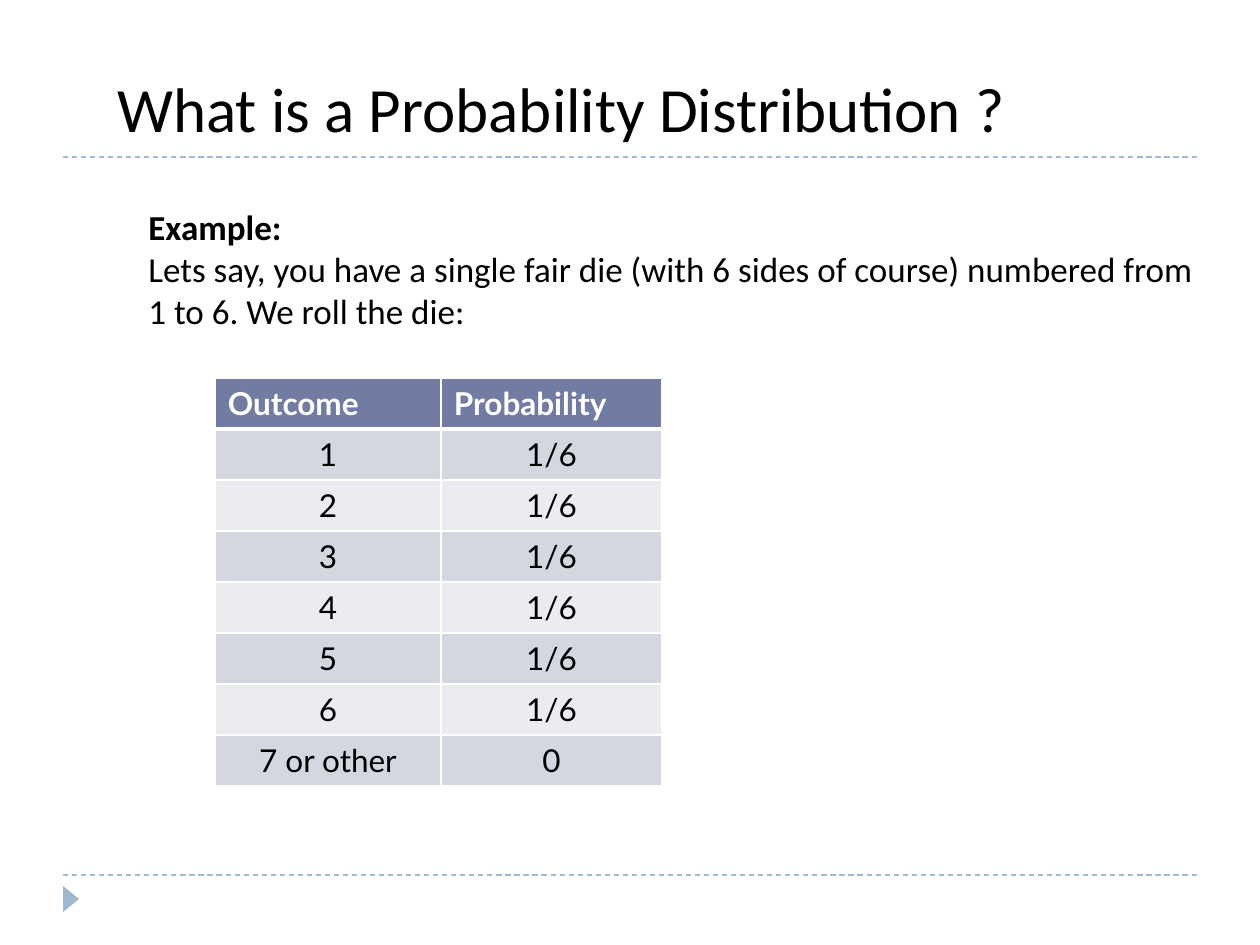
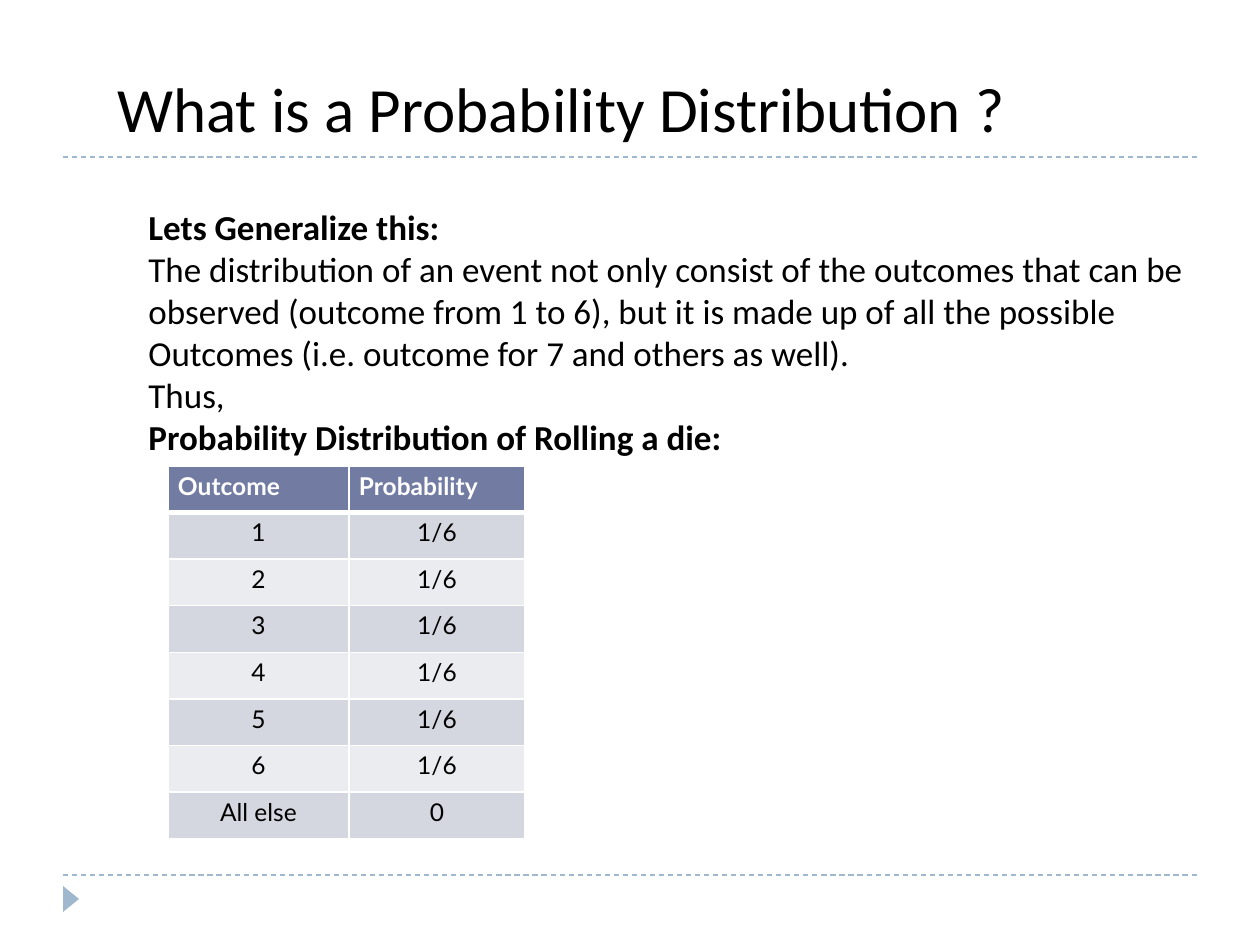
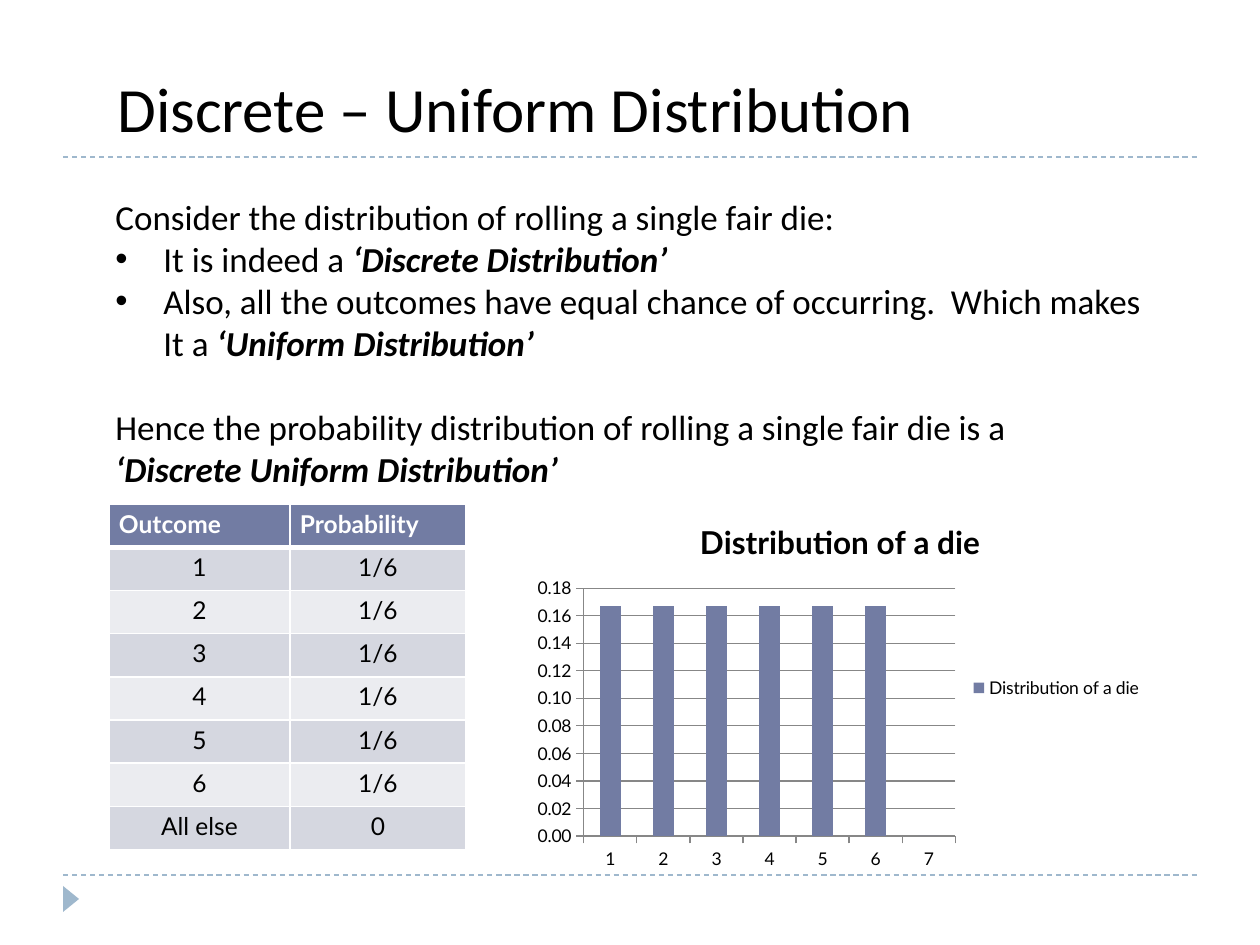
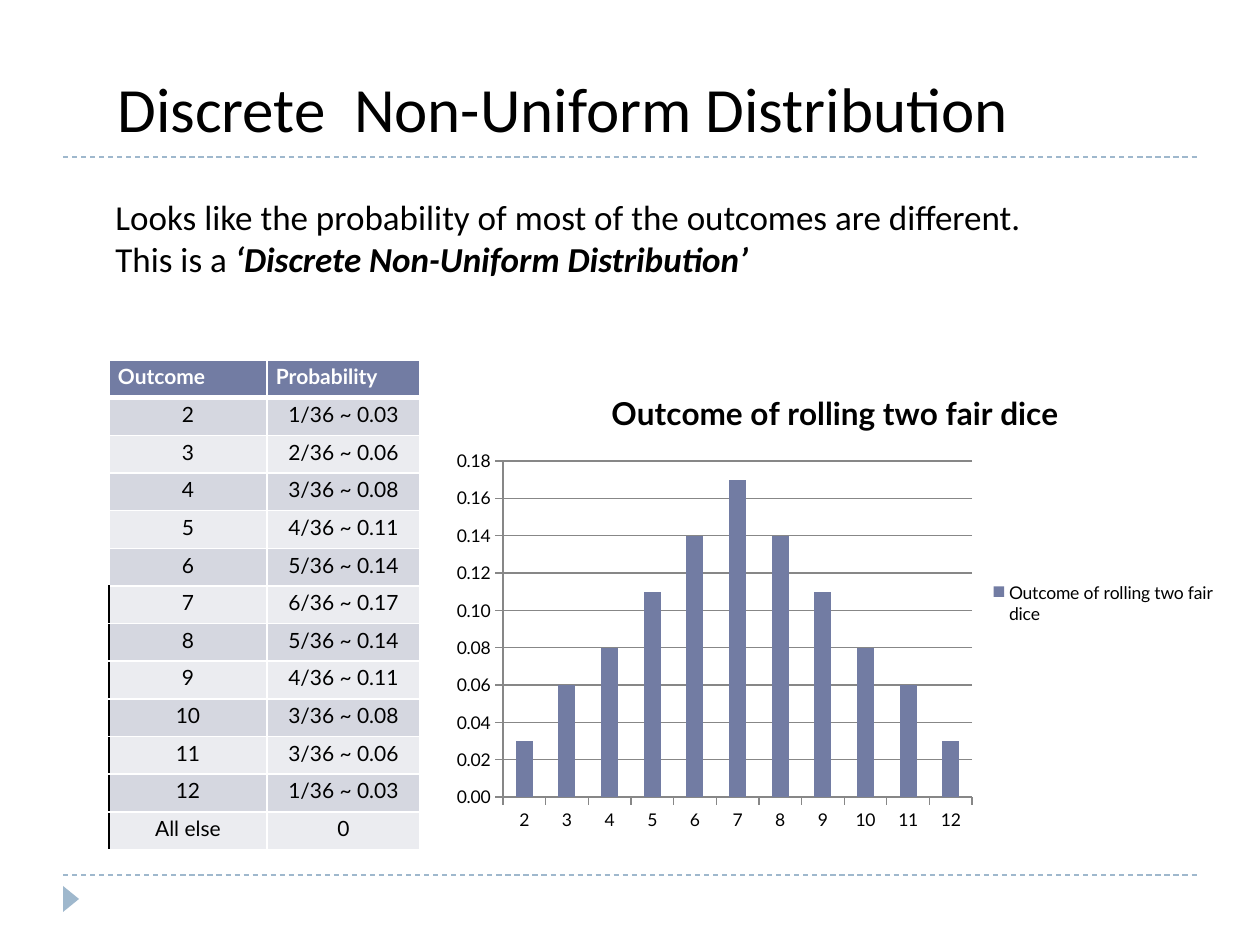
import pptx
import pptx.util
import pptx.dml.color
import pptx.enum.dml
import pptx.enum.shapes
import pptx.enum.text
import pptx.enum.chart
import pptx.chart.data
import pptx.oxml.ns
from lxml import etree

# Shared look
SCALE = 914400 / 126
WIDE, HIGH = 1260, 945
BODY, DATA = "Calibri", "Lato"
HUES = {"text": "000000", "white": "FFFFFF", "rule": "9FB8CD", "head": "727CA3",
        "odd": "D5D7E0", "even": "EBECF0", "grid": "878787"}
LEFT = pptx.enum.text.PP_ALIGN.LEFT
MID = pptx.enum.text.PP_ALIGN.CENTER

# Content: a paragraph is (kind, runs), a run is (text, style)
HEADS = ("Outcome", "Probability")
SIXTHS = [(str(n), "1/6") for n in range(1, 7)]
TWO = [0.03, 0.06, 0.08, 0.11, 0.14, 0.17, 0.14, 0.11, 0.08, 0.06, 0.03]
PARTS = [1, 2, 3, 4, 5, 6, 5, 4, 3, 3, 1]
SUMS = [(str(n), f"{part}/36 ~ {val:.2f}")
        for n, (part, val) in enumerate(zip(PARTS, TWO), 2)]

SLIDES = [
    {"title": ("What is a Probability Distribution ?", 921),
     "at": (136, 199, 1080, 140),
     "text": [
         ("", [("Example:", "b")]),
         ("", [("Lets say, you have a single fair die (with 6 sides of course) numbered from", "")]),
         ("", [("1 to 6. We roll the die:", "")])],
     "table": {"at": (215, 378, 408), "cols": (226, 221), "size": 18, "pad": (13, 6),
               "rows": SIXTHS + [("7 or other", "0")]}},
    {"title": ("What is a Probability Distribution ?", 921),
     "at": (136, 199, 1077, 267),
     "text": [
         ("", [("Lets Generalize this:", "b")]),
         ("", [("The distribution of an event not only consist of the outcomes that can be", "")]),
         ("", [("observed (outcome from 1 to 6), but it is made up of all the possible", "")]),
         ("", [("Outcomes (i.e. outcome for 7 and others as well).", "")]),
         ("", [("Thus,", "")]),
         ("", [("Probability Distribution of Rolling a die:", "b")])],
     "table": {"at": (168, 466, 373), "cols": (181, 176), "size": 14, "pad": (10, 5),
               "rows": SIXTHS + [("All else", "0")]}},
    {"title": ("Discrete – Uniform Distribution", 829),
     "at": (103, 189, 1052, 310),
     "text": [
         ("", [("Consider the distribution of rolling a single fair die:", "")]),
         ("dot", [("It is indeed a ", ""), ("‘Discrete Distribution’", "bi")]),
         ("dot", [("Also, all the outcomes have equal chance of occurring.  Which makes It a ", ""),
                  ("‘Uniform Distribution’", "bi")]),
         ("gap", [("Hence the probability distribution of rolling a single fair die is a", "")]),
         ("", [("‘Discrete Uniform Distribution’", "bi")])],
     "table": {"at": (109, 504, 346), "cols": (181, 176), "size": 14, "pad": (10, 5),
               "rows": SIXTHS + [("All else", "0")]},
     "chart": {"at": (525, 499, 630, 378), "title": "Distribution of a die",
               "cats": range(1, 8), "vals": [0.167] * 6 + [0]}},
    {"title": ("Discrete  Non-Uniform Distribution", 956),
     "at": (103, 189, 1052, 97),
     "text": [
         ("", [("Looks like the probability of most of the outcomes are different.", "")]),
         ("", [("This is a ", ""), ("‘Discrete Non-Uniform Distribution’", "bi")])],
     "table": {"at": (109, 360, 490), "cols": (158, 153), "size": 12, "pad": (9, 4),
               "rows": SUMS + [("All else", "0")], "dark": 6},
     "chart": {"at": (441, 368, 788, 472), "title": "Outcome of rolling two fair dice",
               "cats": range(2, 13), "vals": TWO}},
]


# Helpers
def px(num):
    return pptx.util.Emu(round(num * SCALE))


def box(at):
    return [px(num) for num in at]


def hue(name):
    return pptx.dml.color.RGBColor.from_string(HUES[name])


def ink(font, face, size, tone="text", style=""):
    font.name, font.size = face, pptx.util.Pt(size)
    font.color.rgb = hue(tone)
    font.bold, font.italic = "b" in style, "i" in style


def sub(node, tag, **atts):
    return etree.SubElement(node, pptx.oxml.ns.qn(tag), **atts)


def write(slide, at, paras, size):
    frame = slide.shapes.add_textbox(*box(at)).text_frame
    frame.word_wrap = True
    for num, (kind, runs) in enumerate(paras):
        para = frame.add_paragraph() if num else frame.paragraphs[0]
        for text, style in runs:
            run = para.add_run()
            run.text = text
            ink(run.font, BODY, size, style=style)
        if kind == "gap":
            para.space_before = pptx.util.Pt(24)
        if kind == "dot":
            props = para._p.get_or_add_pPr()
            props.set("marL", str(px(48)))
            props.set("indent", str(-px(48)))
            sub(props, "a:buFont", typeface="Arial")
            sub(props, "a:buChar", char="•")


def frame(slide):
    # Dashed rules and the corner marker
    for y in (875, 157):
        rule = slide.shapes.add_connector(
            pptx.enum.shapes.MSO_CONNECTOR.STRAIGHT, *box((63, y, 1197, y)))
        rule.line.color.rgb = hue("rule")
        rule.line.width = pptx.util.Pt(0.75)
        rule.line.dash_style = pptx.enum.dml.MSO_LINE.DASH
        sub(rule._element.spPr, "a:effectLst")
    mark = slide.shapes.add_shape(
        pptx.enum.shapes.MSO_SHAPE.ISOSCELES_TRIANGLE, *box((58, 891, 26, 16)))
    mark.rotation = 90
    mark.shadow.inherit = False
    mark.fill.solid()
    mark.fill.fore_color.rgb = hue("rule")
    mark.line.fill.background()


def edge(cell, side, tone, width):
    line = sub(cell._tc.get_or_add_tcPr(), "a:ln" + side, w=str(pptx.util.Pt(width)))
    sub(sub(line, "a:solidFill"), "a:srgbClr", val=HUES[tone])


def grid(slide, spec):
    rows = [HEADS] + spec["rows"]
    x, y, high = spec["at"]
    table = slide.shapes.add_table(
        len(rows), 2, *box((x, y, sum(spec["cols"]), high))).table
    table.horz_banding = False
    for col, wide in zip(table.columns, spec["cols"]):
        col.width = px(wide)
    for r, row in enumerate(rows):
        table.rows[r].height = px(high / len(rows))
        for c, text in enumerate(row):
            cell = table.cell(r, c)
            cell.margin_left = cell.margin_right = px(spec["pad"][0])
            cell.margin_top = cell.margin_bottom = px(spec["pad"][1])
            dark = c == 0 and r >= spec.get("dark", len(rows))
            for side in "LRTB":
                thick = (r == 0 and side == "B") or (r == 1 and side == "T")
                edge(cell, side, "text" if dark and side == "L" else "white", 3 if thick else 1)
            cell.fill.solid()
            cell.fill.fore_color.rgb = hue("head" if r == 0 else "odd" if r % 2 else "even")
            para = cell.text_frame.paragraphs[0]
            para.text = text
            para.alignment = MID if r else LEFT
            ink(para.runs[0].font, DATA, spec["size"], *(() if r else ("white", "b")))


def plot(slide, spec):
    data = pptx.chart.data.CategoryChartData(number_format="0.00")
    data.categories = [str(cat) for cat in spec["cats"]]
    data.add_series(spec["title"], spec["vals"])
    chart = slide.shapes.add_chart(
        pptx.enum.chart.XL_CHART_TYPE.COLUMN_CLUSTERED, *box(spec["at"]), data).chart
    ink(chart.font, DATA, 10)
    chart.has_title = True
    para = chart.chart_title.text_frame.paragraphs[0]
    para.text = spec["title"]
    ink(para.runs[0].font, DATA, 18, style="b")
    chart.has_legend = True
    chart.legend.position = pptx.enum.chart.XL_LEGEND_POSITION.RIGHT
    chart.legend.include_in_layout = False
    bars = chart.plots[0]
    bars.gap_width, bars.vary_by_categories = 150, False
    bars.series[0].format.fill.solid()
    bars.series[0].format.fill.fore_color.rgb = hue("head")
    axis = chart.value_axis
    axis.minimum_scale, axis.maximum_scale, axis.major_unit = 0, 0.18, 0.02
    axis.tick_labels.number_format = "0.00"
    axis.tick_labels.number_format_is_linked = False
    axis.has_major_gridlines = True
    for part in (axis, chart.category_axis, axis.major_gridlines):
        part.format.line.color.rgb = hue("grid")
        part.format.line.width = pptx.util.Pt(0.75)
    for part in (axis, chart.category_axis):
        part.major_tick_mark = pptx.enum.chart.XL_TICK_MARK.OUTSIDE


# Build
deck = pptx.Presentation()
deck.slide_width, deck.slide_height = px(WIDE), px(HIGH)
for page in SLIDES:
    slide = deck.slides.add_slide(deck.slide_layouts[6])
    frame(slide)
    title, wide = page["title"]
    write(slide, (105, 63, wide, 89), [("", [(title, "")])], 36)
    write(slide, page["at"], page["text"], 20)
    grid(slide, page["table"])
    if "chart" in page:
        plot(slide, page["chart"])
deck.save("out.pptx")
